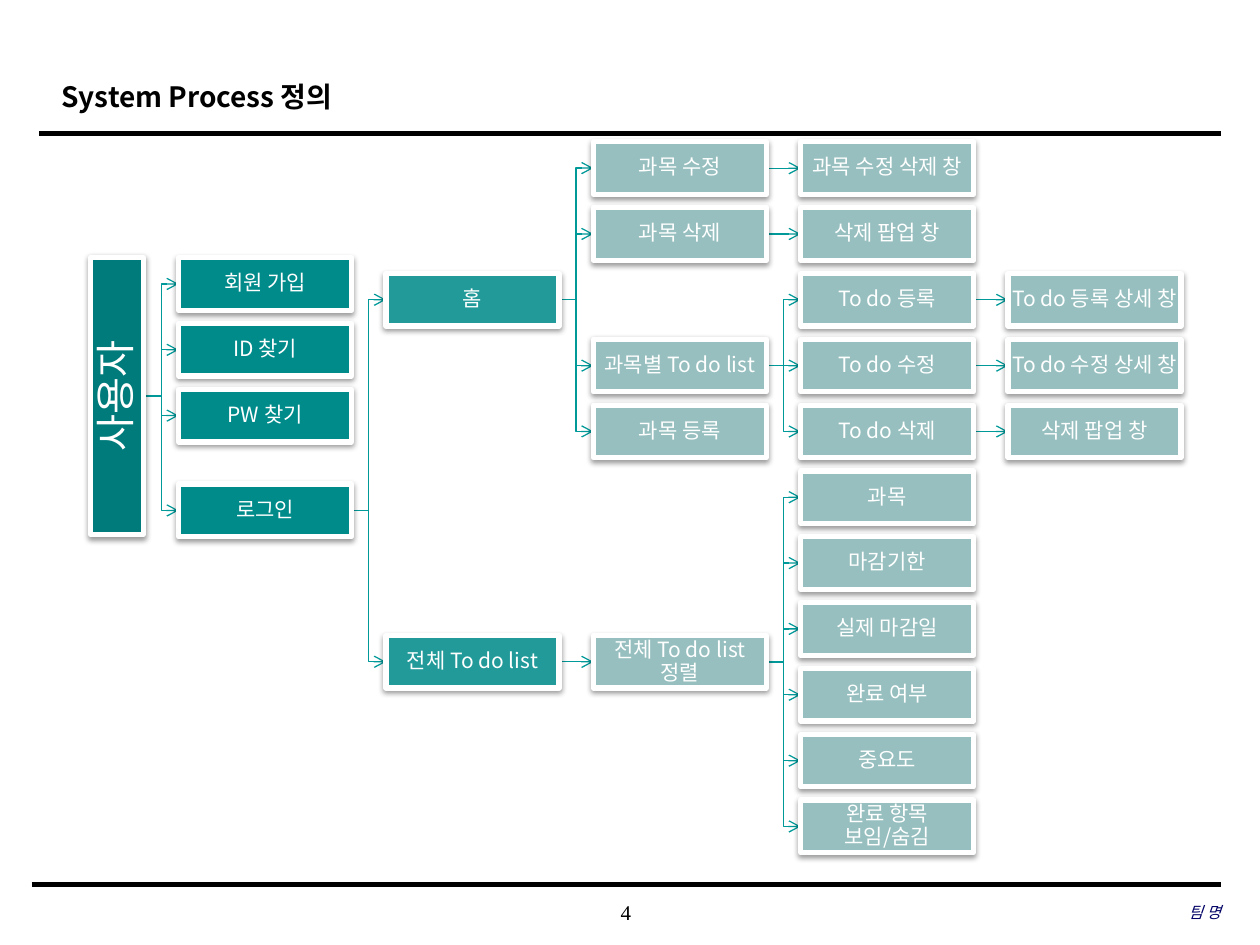
from pptx import Presentation
from pptx.util import Cm, Pt
from pptx.dml.color import RGBColor
from pptx.enum.shapes import MSO_SHAPE, MSO_CONNECTOR
from pptx.enum.text import PP_ALIGN, MSO_ANCHOR
from pptx.oxml import parse_xml
from pptx.oxml.ns import nsdecls, qn
from lxml.etree import SubElement

SANS, SERIF = "Noto Sans CJK KR", "Times New Roman"
HEAD = "System Process 정의"
PAGE, TEAM = "4", "팀 명"
FILLS = ["007B7B", "008B8B", "229A9A", "97BFBF", "97BFBF", "97BFBF"]

HOME = ("홈", 2, [
    ("과목 수정", 0, [("과목 수정 삭제 창", 0, [])]),
    ("과목 삭제", 1, [("삭제 팝업 창", 1, [])]),
    ("과목별 To do list", 3, [
        ("To do 등록", 2, [("To do 등록 상세 창", 2, [])]),
        ("To do 수정", 3, [("To do 수정 상세 창", 3, [])]),
        ("To do 삭제", 4, [("삭제 팝업 창", 4, [])]),
    ]),
    ("과목 등록", 4, []),
])
SORTS = ["과목", "마감기한", "실제 마감일", "완료 여부", "중요도", "완료 항목 보임/숨김"]
TOTAL = ("전체 To do list", 7.5, [
    ("전체 To do list 정렬", 7.5, [(name, 5 + i, []) for i, name in enumerate(SORTS)]),
])
TREE = ("사용자", 3.46, [
    ("회원 가입", 1.76, []),
    ("ID 찾기", 2.76, []),
    ("PW 찾기", 3.76, []),
    ("로그인", 5.2, [HOME, TOTAL]),
])

WIDE, HIGH, LONG = 3.49, 1.06, 5.59
LEFT, PITCH = 3.6, 4.18
TOP, STEP = 3.39, 1.327

deck = Presentation()
deck.slide_width, deck.slide_height = Cm(25.4), Cm(19.05)
slide = deck.slides.add_slide(deck.slide_layouts[5])
shapes = slide.shapes


def tint(code):
    return RGBColor.from_string(code)


def write(shape, text, size, color, align, font=SANS, inset=0, space=1.0, bold=False, italic=False):
    frame = shape.text_frame
    frame.text = text
    frame.word_wrap = True
    frame.vertical_anchor = MSO_ANCHOR.MIDDLE
    frame.margin_left = frame.margin_right = Cm(inset)
    frame.margin_top = frame.margin_bottom = Cm(inset)
    para = frame.paragraphs[0]
    para.alignment, para.line_spacing = align, space
    face = para.runs[0].font
    face.name, face.size, face.bold, face.italic = font, Pt(size), bold, italic
    face.color.rgb = tint(color)
    SubElement(face._element, qn("a:ea")).set("typeface", SANS)


def shade(shape):
    shape._element.spPr.append(parse_xml(
        f'<a:effectLst {nsdecls("a")}><a:outerShdw blurRad="40000" dist="20000" '
        'dir="5400000" rotWithShape="0"><a:srgbClr val="000000">'
        '<a:alpha val="38000"/></a:srgbClr></a:outerShdw></a:effectLst>'))


def rule(x1, y1, x2, y2, color, width, kind=MSO_CONNECTOR.STRAIGHT):
    line = shapes.add_connector(kind, Cm(x1), Cm(y1), Cm(x2), Cm(y2))
    line.line.color.rgb, line.line.width = tint(color), Pt(width)
    SubElement(line._element.spPr, qn("a:effectLst"))
    return line


def box(text, depth, mid):
    root = depth == 0
    wide = LONG if root else WIDE
    left = 2.36 - LONG / 2 if root else LEFT + PITCH * (depth - 1)
    shape = shapes.add_shape(MSO_SHAPE.RECTANGLE, Cm(left), Cm(mid - HIGH / 2), Cm(wide), Cm(HIGH))
    shape.rotation = 270 if root else 0
    shape.fill.solid()
    shape.fill.fore_color.rgb = tint(FILLS[depth])
    shape.line.color.rgb, shape.line.width = tint("FFFFFF"), Pt(3)
    shade(shape)
    write(shape, text, 23 if root else 12, "FFFFFF", PP_ALIGN.CENTER, inset=0.03, space=0.9)
    return shape


def link(start, end, depth, y1, y2):
    x2 = LEFT + PITCH * depth
    kind = MSO_CONNECTOR.STRAIGHT if y1 == y2 else MSO_CONNECTOR.ELBOW
    line = rule(x2 - PITCH + WIDE, y1, x2, y2, "009999", 0.75, kind)
    if depth:
        line.begin_connect(start, 3)
    line.end_connect(end, 1)
    SubElement(line.line._get_or_add_ln(), qn("a:tailEnd")).set("type", "arrow")
    line._element.getparent().insert(2, line._element)


def grow(node, depth=0):
    text, row, kids = node
    mid = TOP + STEP * row
    shape = box(text, depth, mid)
    for kid in kids:
        end, low = grow(kid, depth + 1)
        link(shape, end, depth, mid, low)
    return shape, mid


def note(text, x, wide, size, color, align, italic=False):
    area = shapes.add_textbox(Cm(x), Cm(17.97), Cm(wide), Cm(0.84))
    write(area, text, size, color, align, font=SERIF, italic=italic)


title = shapes.title
title.left, title.top, title.width, title.height = Cm(0.99), Cm(1.24), Cm(19.18), Cm(1.27)
write(title, HEAD, 16, "000000", PP_ALIGN.LEFT, inset=0.25, space=1.2, bold=True)
rule(0.79, 2.69, 24.61, 2.69, "000000", 2.5)
rule(0.64, 17.83, 24.61, 17.83, "000000", 3)
note(PAGE, 9.98, 5.28, 12, "000000", PP_ALIGN.CENTER)
note(TEAM, 16.84, 7.77, 9, "000066", PP_ALIGN.RIGHT, italic=True)
grow(TREE)

deck.save("out.pptx")
